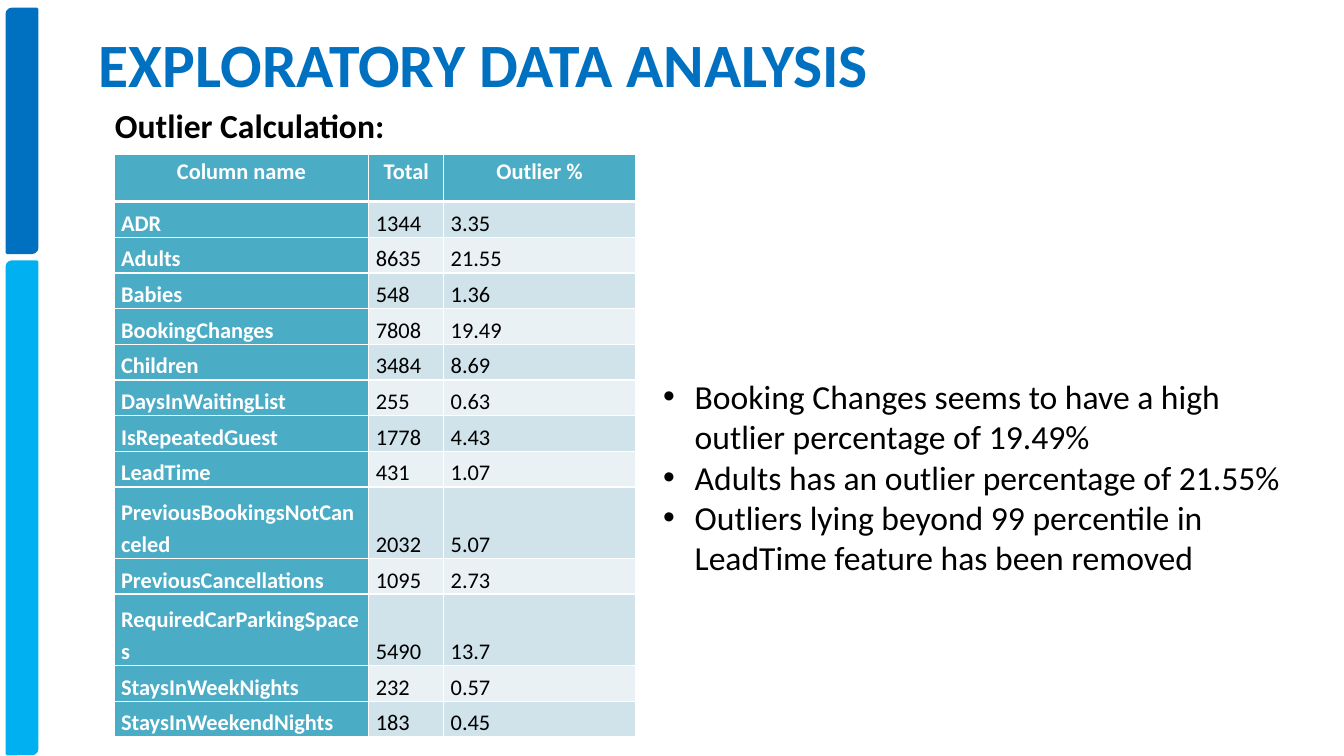
from dataclasses import dataclass

from lxml import etree
from pptx import Presentation
from pptx.dml.color import RGBColor
from pptx.enum.shapes import MSO_SHAPE
from pptx.enum.text import MSO_ANCHOR, MSO_AUTO_SIZE, PP_ALIGN
from pptx.oxml.ns import qn
from pptx.util import Pt

PX = 6350  # EMU per px, on a slide of 1920 by 1080 px
BAR = MSO_SHAPE.ROUND_2_DIAG_RECTANGLE
TOP, MIDDLE, BOTTOM = MSO_ANCHOR.TOP, MSO_ANCHOR.MIDDLE, MSO_ANCHOR.BOTTOM
LEFT, CENTER, JUSTIFY = PP_ALIGN.LEFT, PP_ALIGN.CENTER, PP_ALIGN.JUSTIFY
NO_FIT = MSO_AUTO_SIZE.NONE


@dataclass(frozen=True)
class Theme:
    font: str = "Calibri"
    blue: str = "0070C0"
    sky: str = "00B0F0"
    teal: str = "4BACC6"
    bands: tuple = ("D0E3EA", "E9F1F5")
    ink: str = "000000"
    white: str = "FFFFFF"
    title: int = 44
    text: int = 24
    cell: int = 16


HEADS = ["Column name", "Total", "Outlier %"]
STATS = [
    ("ADR", "1344", "3.35"),
    ("Adults", "8635", "21.55"),
    ("Babies", "548", "1.36"),
    ("BookingChanges", "7808", "19.49"),
    ("Children", "3484", "8.69"),
    ("DaysInWaitingList", "255", "0.63"),
    ("IsRepeatedGuest", "1778", "4.43"),
    ("LeadTime", "431", "1.07"),
    ("PreviousBookingsNotCanceled", "2032", "5.07"),
    ("PreviousCancellations", "1095", "2.73"),
    ("RequiredCarParkingSpaces", "5490", "13.7"),
    ("StaysInWeekNights", "232", "0.57"),
    ("StaysInWeekendNights", "183", "0.45"),
]
NOTES = [
    "Booking Changes seems to have a high outlier percentage of 19.49%",
    "Adults has an outlier percentage of 21.55%",
    "Outliers lying beyond 99 percentile in LeadTime feature has been removed",
]
WIDTHS = [364, 107, 274]
HEAD_H, ROW_H = 68, 51
WRAP_LEN = 22  # longer names take two lines


class Deck:
    def __init__(self, theme):
        self.theme = theme
        self.prs = Presentation()
        self.prs.slide_width, self.prs.slide_height = 1920 * PX, 1080 * PX
        self.slide = self.prs.slides.add_slide(self.prs.slide_layouts[1])

    def style(self, para, size, color, bold=False, align=LEFT):
        para.alignment = align
        para.space_before = Pt(0)
        for run in para.runs:
            font = run.font
            font.name, font.size, font.bold = self.theme.font, Pt(size), bold
            font.color.rgb = RGBColor.from_string(color)

    def place(self, shape, box, anchor):
        shape.left, shape.top, shape.width, shape.height = (v * PX for v in box)
        frame = shape.text_frame
        frame.word_wrap = True
        frame.auto_size = NO_FIT
        frame.vertical_anchor = anchor
        return frame

    def title(self, text, box):
        frame = self.place(self.slide.shapes.title, box, MIDDLE)
        frame.text = text
        self.style(frame.paragraphs[0], self.theme.title, self.theme.blue, True)

    def bullets(self, items, box, indent):
        frame = self.place(self.slide.placeholders[1], box, TOP)
        frame.text = "\n".join(items)
        for para in frame.paragraphs:
            self.style(para, self.theme.text, self.theme.ink)
            props = para._p.get_or_add_pPr()
            props.set("marL", str(indent * PX))
            props.set("indent", str(-indent * PX))
            etree.SubElement(props, qn("a:buFont"), typeface="Arial")
            etree.SubElement(props, qn("a:buChar"), char="•")

    def label(self, text, box):
        shape = self.slide.shapes.add_textbox(0, 0, 0, 0)
        frame = self.place(shape, box, TOP)
        frame.text = text
        self.style(frame.paragraphs[0], self.theme.text, self.theme.ink, True)

    def bar(self, box, color):
        shape = self.slide.shapes.add_shape(BAR, *(v * PX for v in box))
        shape.shadow.inherit = False
        shape.fill.solid()
        shape.fill.fore_color.rgb = RGBColor.from_string(color)
        shape.line.color.rgb = RGBColor.from_string(color)
        shape.line.width = Pt(2)

    def edges(self, cell, row):
        props = cell._tc.get_or_add_tcPr()
        for spot, side in enumerate("LRTB"):
            thick = (row, side) in ((0, "B"), (1, "T"))
            line = etree.Element(qn("a:ln" + side), w=str(Pt(3 if thick else 1)))
            fill = etree.SubElement(line, qn("a:solidFill"))
            etree.SubElement(fill, qn("a:srgbClr"), val=self.theme.white)
            props.insert(spot, line)

    def cell(self, cell, text, row, col):
        look = self.theme
        head, key = row == 0, row == 0 or col == 0
        cell.text = text
        cell.margin_left = cell.margin_right = 10 * PX
        cell.margin_top = cell.margin_bottom = 0
        cell.vertical_anchor = TOP if head else BOTTOM
        para = cell.text_frame.paragraphs[0]
        para.line_spacing = 1.15
        self.style(para, look.cell, look.white if key else look.ink, key,
                   CENTER if head else JUSTIFY)
        cell.fill.solid()
        shade = look.teal if key else look.bands[(row - 1) % 2]
        cell.fill.fore_color.rgb = RGBColor.from_string(shade)
        self.edges(cell, row)

    def table(self, rows, left, top):
        highs = [HEAD_H] + [ROW_H * (1 + (len(r[0]) > WRAP_LEN)) for r in rows[1:]]
        box = (left, top, sum(WIDTHS), sum(highs))
        table = self.slide.shapes.add_table(
            len(rows), len(WIDTHS), *(v * PX for v in box)).table
        for col, width in zip(table.columns, WIDTHS):
            col.width = width * PX
        for i, (row, high) in enumerate(zip(rows, highs)):
            table.rows[i].height = high * PX
            for j, text in enumerate(row):
                self.cell(table.cell(i, j), text, i, j)


def main():
    theme = Theme()
    deck = Deck(theme)
    # Side bars
    deck.bar((10, 13, 43, 348), theme.blue)
    deck.bar((10, 374, 43, 703), theme.sky)
    # Headings
    deck.title("EXPLORATORY DATA ANALYSIS", (127, 0, 1418, 180))
    deck.label("Outlier Calculation:", (150, 143, 618, 72))
    # Outlier table and findings
    deck.table([HEADS] + STATS, 163, 220)
    deck.bullets(NOTES, (933, 530, 922, 305), 45)
    deck.prs.save("out.pptx")


if __name__ == "__main__":
    main()
